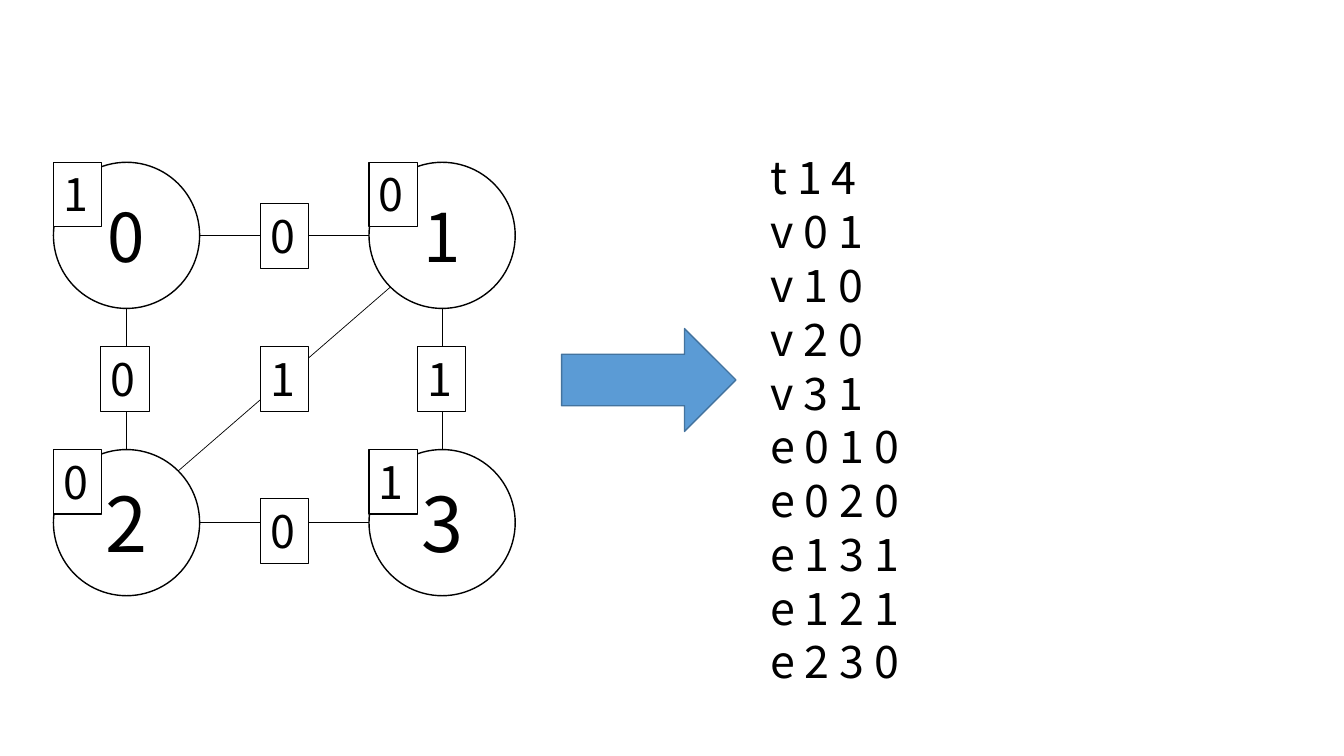
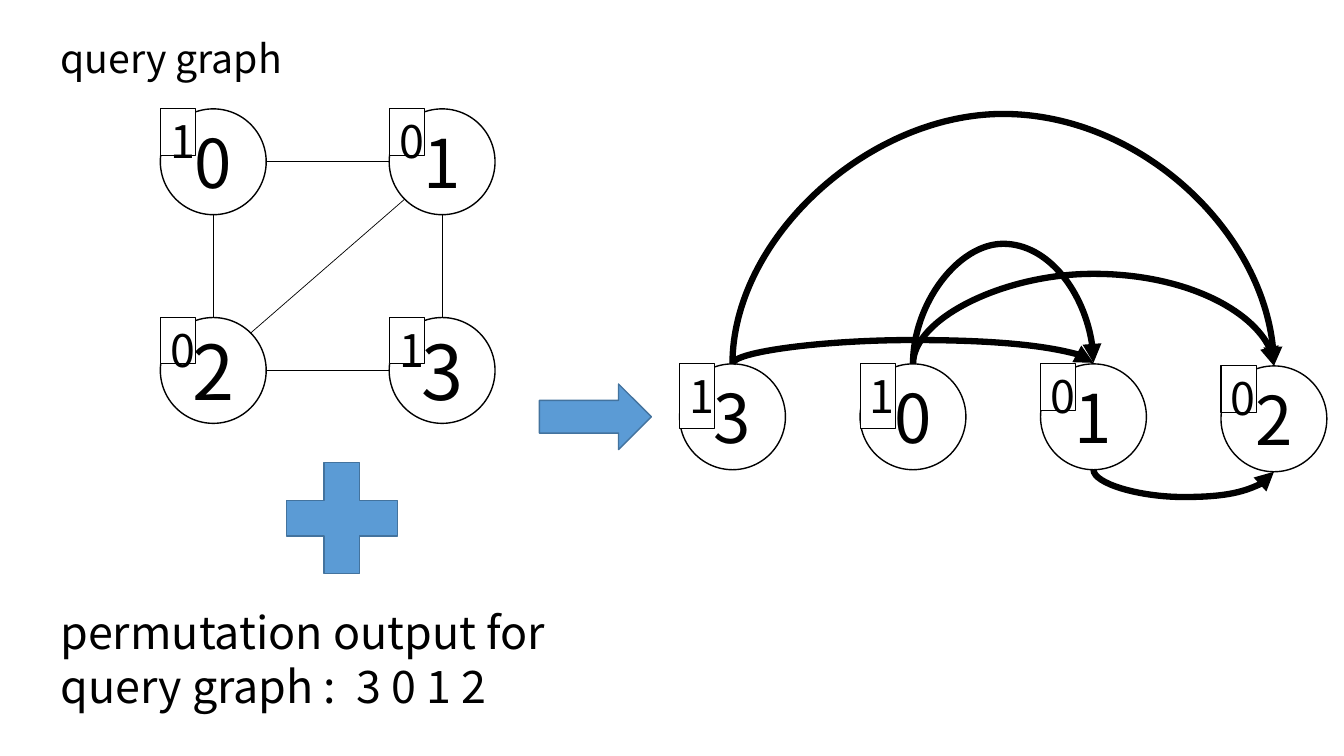
from dataclasses import dataclass
from itertools import product
from math import cos, radians, sin

from pptx import Presentation
from pptx.dml.color import RGBColor
from pptx.enum.shapes import MSO_CONNECTOR, MSO_SHAPE
from pptx.enum.text import MSO_ANCHOR, PP_ALIGN
from pptx.oxml import parse_xml
from pptx.oxml.ns import nsdecls
from pptx.util import Inches, Pt

TOP, LEFT, LOWER_LEFT, BOTTOM, RIGHT, UPPER_RIGHT = 0, 2, 3, 4, 6, 7
EDGES = [(0, BOTTOM, 2, TOP), (0, RIGHT, 1, LEFT), (1, BOTTOM, 3, TOP),
         (2, UPPER_RIGHT, 1, LOWER_LEFT), (2, RIGHT, 3, LEFT)]


def color(value):
    return RGBColor.from_string(value)


@dataclass
class Node:
    shape: object
    left: float
    top: float
    diameter: float

    def site(self, index):
        radius = self.diameter / 2
        angle = radians(90 + 45 * index)
        return (self.left + radius + radius * cos(angle),
                self.top + radius - radius * sin(angle))


class Slides:
    font = "Noto Sans CJK KR"
    ink, paper = "000000", "FFFFFF"
    accent, accent_line = "5B9BD5", "43739E"

    def __init__(self):
        self.deck = Presentation()
        self.deck.slide_width = Inches(13.33)
        self.deck.slide_height = Inches(7.5)

    def new_page(self):
        self.page = self.deck.slides.add_slide(self.deck.slide_layouts[6])

    def fill_text(self, box, lines, size, align=PP_ALIGN.LEFT, anchor=MSO_ANCHOR.TOP):
        frame = box.text_frame
        frame.word_wrap = True
        frame.vertical_anchor = anchor
        frame.text = "\n".join(lines)
        for para in frame.paragraphs:
            para.alignment = align
            para.font.name = self.font
            para.font.size = Pt(size)
            para.font.color.rgb = color(self.ink)

    def text(self, left, top, width, height, lines, size=32):
        box = self.page.shapes.add_textbox(
            Inches(left), Inches(top), Inches(width), Inches(height))
        self.fill_text(box, lines, size)

    def shape(self, kind, left, top, width, height, fill, line, weight):
        shape = self.page.shapes.add_shape(
            kind, Inches(left), Inches(top), Inches(width), Inches(height))
        shape.shadow.inherit = False
        if fill:
            shape.fill.solid()
            shape.fill.fore_color.rgb = color(fill)
        else:
            shape.fill.background()
        shape.line.color.rgb = color(line)
        shape.line.width = Pt(weight)
        return shape

    def symbol(self, kind, left, top, width, height):
        self.shape(kind, left, top, width, height, self.accent, self.accent_line, 1)

    def badge(self, left, top, width, height, label):
        box = self.shape(MSO_SHAPE.RECTANGLE, left, top, width, height,
                         self.paper, self.ink, 0.75)
        self.fill_text(box, [label], 32)

    def node(self, left, top, diameter, label, size=48):
        circle = self.shape(MSO_SHAPE.OVAL, left, top, diameter, diameter,
                            None, self.ink, 1)
        self.fill_text(circle, [label], size, PP_ALIGN.CENTER, MSO_ANCHOR.MIDDLE)
        return Node(circle, left, top, diameter)

    def connect(self, kind, start, start_site, end, end_site, weight):
        ends = [Inches(value) for value in
                (*start.site(start_site), *end.site(end_site))]
        connector = self.page.shapes.add_connector(kind, *ends)
        connector.begin_connect(start.shape, 0)
        connector.end_connect(end.shape, 0)
        for tag, site in (("stCxn", start_site), ("endCxn", end_site)):
            connector._element.xpath(f".//a:{tag}")[0].set("idx", str(site))
        connector.begin_x, connector.begin_y, connector.end_x, connector.end_y = ends
        connector.line.color.rgb = color(self.ink)
        connector.line.width = Pt(weight)
        connector._element.spPr.append(parse_xml(f"<a:effectLst {nsdecls('a')}/>"))
        return connector

    def arc(self, start, end, bend, site=TOP):
        arrow = self.connect(MSO_CONNECTOR.CURVE, start, site, end, site, 4.5)
        start_x, start_y = start.site(site)
        end_x, end_y = end.site(site)
        drop = round(end_y - start_y, 2) or -0.01
        span, rise = end_x - start_x, abs(drop)
        arrow.left = Inches((start_x + end_x - rise) / 2)
        arrow.top = Inches(start_y + drop / 2 - span / 2)
        arrow.width, arrow.height = Inches(rise), Inches(span)
        frame = arrow._element.xpath(".//a:xfrm")[0]
        frame.set("rot", str((270 if drop > 0 else 90) * 60000))
        frame.set("flipH", "1")
        frame.set("flipV", "0" if drop > 0 else "1")
        adjust = round(bend / drop * 100000)
        arrow._element.xpath(".//a:avLst")[0].append(parse_xml(
            f'<a:gd {nsdecls("a")} name="adj1" fmla="val {adjust}"/>'))
        arrow._element.xpath(".//a:ln")[0].append(parse_xml(
            f'<a:tailEnd {nsdecls("a")} type="triangle"/>'))

    def square_graph(self, left, top, step_x, step_y, diameter, badge_width, badge_height):
        corners = [(left + column * step_x, top + row * step_y)
                   for row, column in product(range(2), repeat=2)]
        nodes = [self.node(x, y, diameter, str(index), 48 if index < 2 else 54)
                 for index, (x, y) in enumerate(corners)]
        for start, start_site, end, end_site in EDGES:
            self.connect(MSO_CONNECTOR.STRAIGHT, nodes[start], start_site,
                         nodes[end], end_site, 0.5)
        for (x, y), label in zip(corners, "1001"):
            self.badge(x, y, badge_width, badge_height, label)


def graph_file_page(slides):
    slides.new_page()
    slides.square_graph(0.53, 1.61, 3.13, 2.85, 1.45, 0.48, 0.64)
    slides.symbol(MSO_SHAPE.RIGHT_ARROW, 5.57, 3.26, 1.73, 1.02)
    slides.text(7.54, 1.44, 4.53, 5.49, [
        "t 1 4", "v 0 1", "v 1 0", "v 2 0", "v 3 1",
        "e 0 1 0", "e 0 2 0", "e 1 3 1", "e 1 2 1", "e 2 3 0"])
    edge_labels = [(1, 3.44, "0"), (2.58, 2.02, "0"), (2.58, 4.95, "0"),
                   (4.14, 3.44, "1"), (2.58, 3.44, "1")]
    for left, top, label in edge_labels:
        slides.badge(left, top, 0.48, 0.64, label)


def permutation_page(slides):
    slides.new_page()
    slides.square_graph(1.59, 1.08, 2.27, 2.07, 1.05, 0.35, 0.46)
    slides.text(0.5, 0.29, 3.36, 0.57, ["query graph"], 28)
    slides.text(0.5, 5.95, 5.12, 1.18,
                ["permutation output for query graph :  3 0 1 2"])
    slides.symbol(MSO_SHAPE.MATH_PLUS, 2.64, 4.39, 1.5, 1.5)
    slides.symbol(MSO_SHAPE.RIGHT_ARROW, 5.35, 3.81, 1.11, 0.65)

    ordered = [("3", "1", 3.61, 0.64), ("0", "1", 3.61, 0.64),
               ("1", "0", 3.61, 0.46), ("2", "0", 3.63, 0.46)]
    nodes = {}
    for index, (name, label, top, badge_height) in enumerate(ordered):
        left = 6.74 + 1.79 * index
        nodes[name] = slides.node(left, top, 1.05, name)
        slides.badge(left, top, 0.35, badge_height, label)

    arcs = [("3", "1", -0.24, TOP), ("3", "2", -2.47, TOP), ("0", "1", -1.21, TOP),
            ("0", "2", -0.89, TOP), ("1", "2", 0.27, BOTTOM)]
    for start, end, bend, site in arcs:
        slides.arc(nodes[start], nodes[end], bend, site)


slides = Slides()
graph_file_page(slides)
permutation_page(slides)
slides.deck.save("out.pptx")
